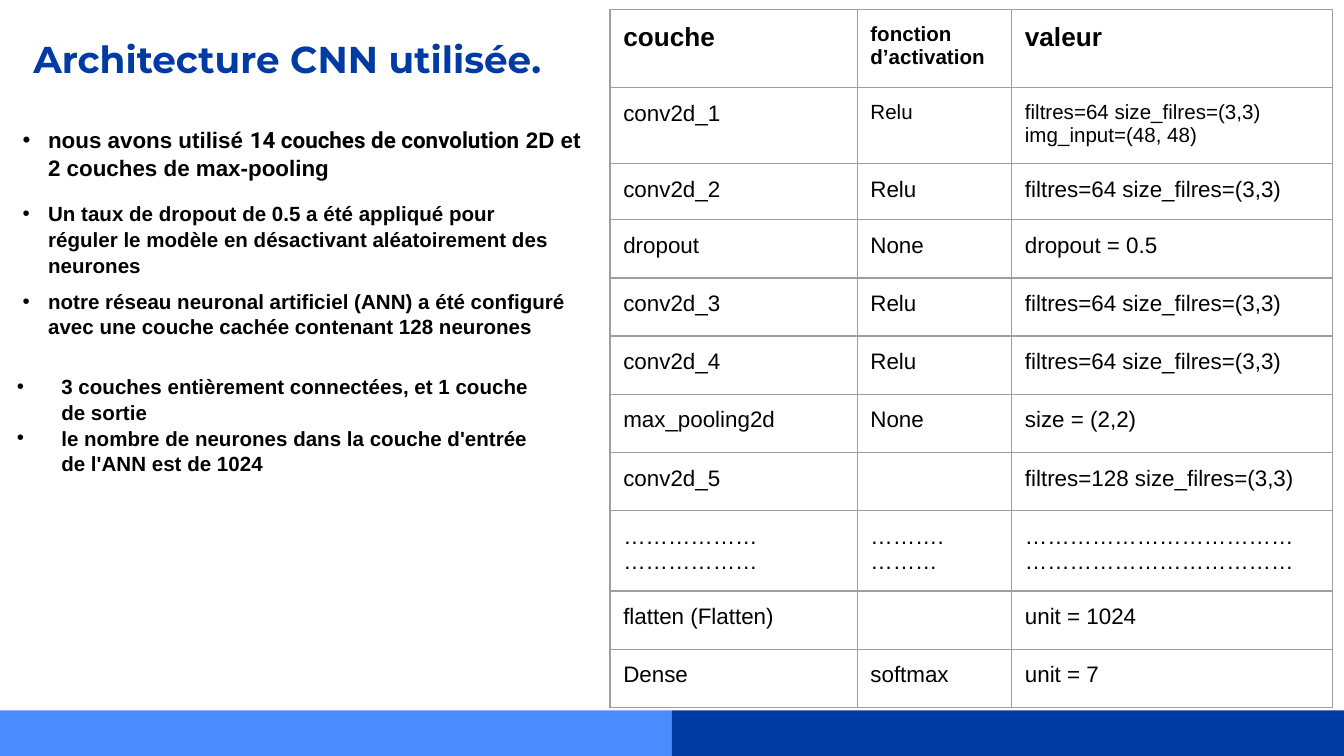
from dataclasses import dataclass

from lxml.etree import SubElement
from pptx import Presentation
from pptx.dml.color import RGBColor as RGB
from pptx.enum.shapes import MSO_SHAPE
from pptx.enum.text import MSO_ANCHOR, MSO_AUTO_SIZE as AUTO_SIZE, PP_ALIGN
from pptx.oxml.ns import qn
from pptx.util import Cm, Pt


@dataclass(frozen=True)
class Theme:
    navy: RGB = RGB(0x00, 0x3B, 0xA3)
    sky: RGB = RGB(0x4A, 0x8C, 0xFF)
    ink: RGB = RGB(0, 0, 0)
    grid: RGB = RGB(0x9E, 0x9E, 0x9E)
    title_font: str = "Montserrat"
    body_font: str = "Arial"
    accent_font: str = "Roboto"
    title: int = 20
    header: int = 14
    body: int = 12
    small: int = 11
    grid_line: float = 0.75


THEME = Theme()
TITLE = "Architecture CNN utilisée."

# Each point is a list of (text, font) pieces.
BODY, ACCENT = THEME.body_font, THEME.accent_font
CONVOLUTION = [[
    ("nous avons utilisé ", BODY),
    ("14 couches de convolution", ACCENT),
    (" 2D et 2 couches de max-pooling", BODY),
]]
DROPOUT = [[("Un taux de dropout de 0.5 a été appliqué pour réguler le modèle "
             "en désactivant aléatoirement des neurones", BODY)]]
ANN = [[("notre réseau neuronal artificiel (ANN) a été configuré avec une "
         "couche cachée contenant 128 neurones", BODY)]]
OUTPUT = [
    [("3 couches entièrement connectées, et 1 couche de sortie", BODY)],
    [("le nombre de neurones dans la couche d'entrée de l'ANN est de 1024", BODY)],
]

FILTERS = "filtres=64 size_filres=(3,3)"
LAYERS = [
    ("couche", "fonction d’activation", "valeur"),
    ("conv2d_1", "Relu", FILTERS + " img_input=(48, 48)"),
    ("conv2d_2", "Relu", FILTERS),
    ("dropout", "None", "dropout = 0.5"),
    ("conv2d_3", "Relu", FILTERS),
    ("conv2d_4", "Relu", FILTERS),
    ("max_pooling2d", "None", "size = (2,2)"),
    ("conv2d_5", "", "filtres=128 size_filres=(3,3)"),
    ("………………\n………………", "……….\n………",
     "………………………………\n………………………………"),
    ("flatten (Flatten)", "", "unit = 1024"),
    ("Dense", "softmax", "unit = 7"),
]
COLUMN_WIDTHS = (4.67, 2.92, 6.07)
ROW_HEIGHTS = (1.48, 1.43, 1.06, *[1.1] * 5, 1.52, 1.1, 1.1)
ROW_SIZES = {
    0: (THEME.header, THEME.small, THEME.header),
    1: (THEME.body, THEME.small, THEME.small),
}


def style(font, name, size, color, bold):
    font.name, font.size, font.bold = name, Pt(size), bold
    font.color.rgb = color


def set_margins(target, horizontal, vertical):
    target.margin_left = target.margin_right = Cm(horizontal)
    target.margin_top = target.margin_bottom = Cm(vertical)


def add_bullet(paragraph, indent, hanging):
    properties = paragraph._p.get_or_add_pPr()
    properties.set("marL", str(Cm(indent)))
    properties.set("indent", str(-Cm(hanging)))
    color = SubElement(properties, qn("a:buClr"))
    SubElement(color, qn("a:srgbClr"), val=str(THEME.ink))
    SubElement(properties, qn("a:buFont"), typeface=THEME.body_font)
    SubElement(properties, qn("a:buChar"), char="•")


def add_footer_band(slide, left, top, width, height):
    half = width / 2
    for index, color in enumerate((THEME.sky, THEME.navy)):
        bar = slide.shapes.add_shape(
            MSO_SHAPE.RECTANGLE, Cm(left + index * half), Cm(top), Cm(half), Cm(height))
        bar.shadow.inherit = False
        bar.fill.solid()
        bar.fill.fore_color.rgb = color
        bar.line.fill.background()


def place_title(slide, left, top, width, height):
    title = slide.shapes.title
    title.left, title.top = Cm(left), Cm(top)
    title.width, title.height = Cm(width), Cm(height)
    frame = title.text_frame
    frame.text = TITLE
    frame.auto_size = AUTO_SIZE.NONE
    frame.vertical_anchor = MSO_ANCHOR.TOP
    set_margins(frame, 0.25, 0.25)
    heading = frame.paragraphs[0]
    heading.alignment = PP_ALIGN.LEFT
    style(heading.font, THEME.title_font, THEME.title, THEME.navy, True)


def add_points(slide, left, top, width, height, points, size, indent=0.48, hanging=0.48):
    box = slide.shapes.add_textbox(Cm(left), Cm(top), Cm(width), Cm(height))
    frame = box.text_frame
    frame.word_wrap = True
    frame.auto_size = AUTO_SIZE.SHAPE_TO_FIT_TEXT
    set_margins(frame, 0.25, 0.13)
    for index, pieces in enumerate(points):
        point = frame.add_paragraph() if index else frame.paragraphs[0]
        add_bullet(point, indent, hanging)
        point.line_spacing = 1.04
        style(point.font, THEME.body_font, size, THEME.ink, True)
        for text, font_name in pieces:
            run = point.add_run()
            run.text = text
            if font_name != THEME.body_font:
                run.font.name = font_name


def add_borders(cell):
    properties = cell._tc.get_or_add_tcPr()
    for side in ("lnL", "lnR", "lnT", "lnB"):
        line = SubElement(properties, qn(f"a:{side}"), w=str(Pt(THEME.grid_line)))
        fill = SubElement(line, qn("a:solidFill"))
        SubElement(fill, qn("a:srgbClr"), val=str(THEME.grid))


def fill_cell(cell, text, size, bold):
    cell.text = text
    set_margins(cell, 0.25, 0.25)
    add_borders(cell)
    cell.fill.background()
    for paragraph in cell.text_frame.paragraphs:
        style(paragraph.font, THEME.body_font, size, THEME.ink, bold)
        if not text:  # keeps an empty cell from stretching its row
            SubElement(paragraph._p, qn("a:endParaRPr"), sz=str(size * 100))


def add_layer_table(slide, left, top):
    table = slide.shapes.add_table(
        len(LAYERS), len(COLUMN_WIDTHS), Cm(left), Cm(top),
        Cm(sum(COLUMN_WIDTHS)), Cm(sum(ROW_HEIGHTS))).table
    table.first_row = table.horz_banding = False
    for column, width in zip(table.columns, COLUMN_WIDTHS):
        column.width = Cm(width)
    for row, height in zip(table.rows, ROW_HEIGHTS):
        row.height = Cm(height)
    for row_index, layer in enumerate(LAYERS):
        sizes = ROW_SIZES.get(row_index, (THEME.body,) * len(layer))
        for column_index, (text, size) in enumerate(zip(layer, sizes)):
            fill_cell(table.cell(row_index, column_index), text, size, row_index == 0)


def main():
    deck = Presentation()
    deck.slide_width, deck.slide_height = Cm(25.4), Cm(14.29)
    slide = deck.slides.add_slide(deck.slide_layouts[5])
    add_footer_band(slide, 0, 13.43, 25.4, 0.86)
    place_title(slide, 0.38, 0.43, 21.41, 1.6)
    add_points(slide, 0.18, 2.24, 11.05, 1.27, CONVOLUTION, THEME.body)
    add_points(slide, 0.18, 3.66, 10.74, 1.68, DROPOUT, THEME.small)
    add_points(slide, 0.18, 5.31, 11.05, 1.19, ANN, THEME.small)
    add_layer_table(slide, 11.53, 0.18)
    add_points(slide, -0.36, 6.93, 11.05, 2.13, OUTPUT, THEME.small,
               indent=1.27, hanging=0.84)
    deck.save("out.pptx")


if __name__ == "__main__":
    main()
